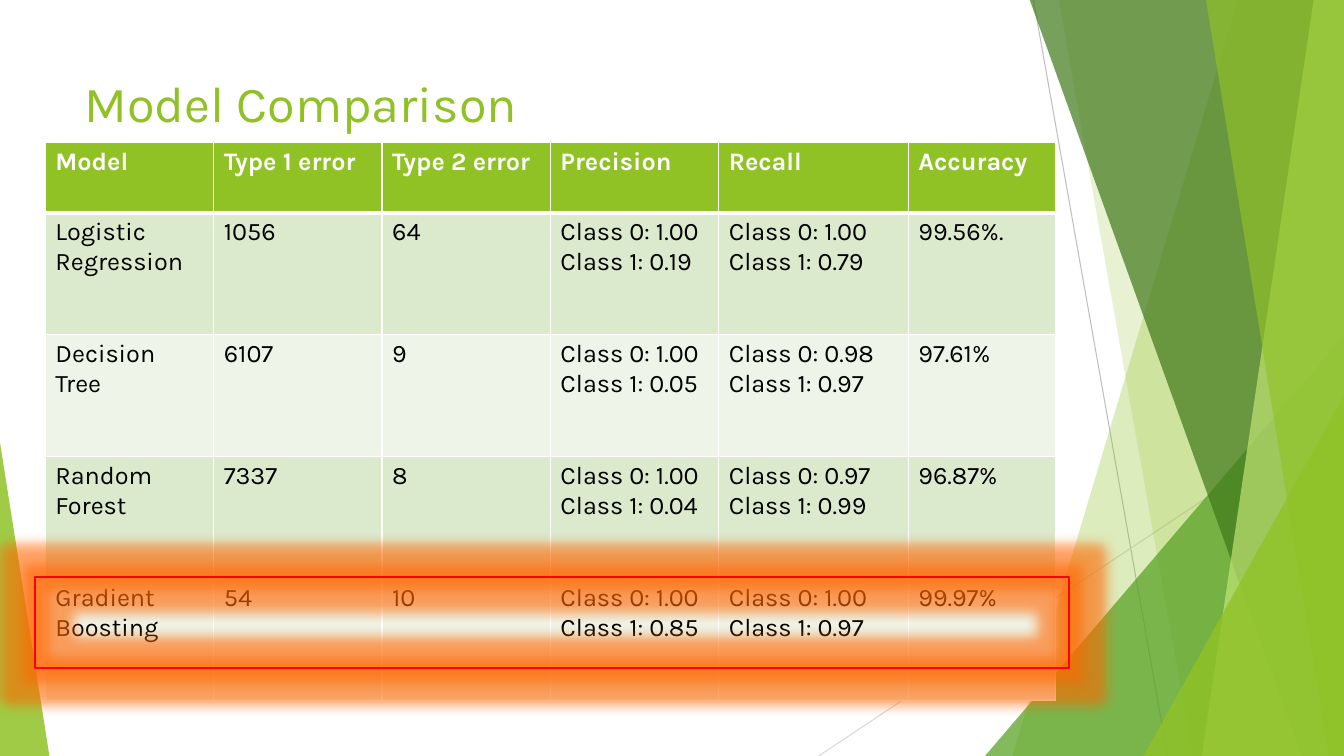
from pptx import Presentation
from pptx.dml.color import RGBColor as RGB
from pptx.enum.shapes import MSO_CONNECTOR as Conn, MSO_SHAPE as Shape
from pptx.enum.text import MSO_ANCHOR as Anchor, PP_ALIGN as Align
from pptx.oxml import parse_xml
from pptx.oxml.ns import nsdecls
from pptx.util import Inches, Pt

WIDE, HIGH = 13.33, 7.5
GREEN, DARK, MINT, PALE, WHITE = "90C226", "3F7819", "DBE9CD", "EEF4E8", "FFFFFF"
BODY = {"name": "Karla", "size": Pt(18), "bold": False}
HEAD = {**BODY, "bold": True}
TITLE = {**BODY, "size": Pt(36)}

# Ribbons: top left, bottom left, colour, opacity; all reach the right edge
RIBBONS_BACK = [(12.28, 10.04, GREEN, 30), (10.5, 11.83, GREEN, 20)]
RIBBONS_FRONT = [(10.21, 12.91, DARK, 70), (13.03, 11.92, "C0E474", 70),
                 (11.96, 13.18, GREEN, 65)]
COLS = [1.67, 1.67, 1.67, 1.67, 1.88, 1.46]
ROWS = [0.7] + [1.21] * 4
DATA = [
    ("Model", "Type 1 error", "Type 2 error", "Precision", "Recall", "Accuracy"),
    ("Logistic Regression", "1056", "64", ("1.00", "0.19"), ("1.00", "0.79"), "99.56%."),
    ("Decision Tree", "6107", "9", ("1.00", "0.05"), ("0.98", "0.97"), "97.61%"),
    ("Random Forest", "7337", "8", ("1.00", "0.04"), ("0.97", "0.99"), "96.87%"),
    ("Gradient Boosting", "54", "10", ("1.00", "0.85"), ("1.00", "0.97"), "99.97%"),
]


def tint(fmt, code):
    """Give a fill, line or font a solid colour."""
    if hasattr(fmt, "solid"):
        fmt.solid()
        fmt.fore_color.rgb = RGB.from_string(code)
    else:
        fmt.color.rgb = RGB.from_string(code)


def style(font, form, code):
    for key, value in form.items():
        setattr(font, key, value)
    tint(font, code)


def add_xml(parent, text):
    head, tail = text.split(">", 1)
    if head.endswith("/"):
        head = f"{head[:-1]} {nsdecls('a')}/"
    else:
        head = f"{head} {nsdecls('a')}"
    parent.append(parse_xml(f"{head}>{tail}"))


def glaze(shape, code, clear):
    """Translucent fill without outline or shadow."""
    tint(shape.fill, code)
    color = shape.element.spPr.find(".//{*}srgbClr")
    add_xml(color, f'<a:alpha val="{clear * 1000}"/>')
    shape.line.fill.background()
    shape.shadow.inherit = False


# Background artwork
def draw_line(shapes, start, end, code):
    points = [Inches(v) for v in (*start, *end)]
    line = shapes.add_connector(Conn.STRAIGHT, *points)
    tint(line.line, code)
    line.line.width = Pt(0.75)
    add_xml(line.element.spPr, "<a:effectLst/>")


def draw_ribbon(shapes, box, top, base, code, clear):
    y, right, foot = box
    points = [(Inches(a), Inches(b)) for a, b in
              ((top, y), (right, y), (right, foot), (base, foot))]
    path = shapes.build_freeform(*points[0])
    path.add_line_segments(points[1:], close=True)
    glaze(path.convert_to_shape(), code, clear)


def draw_peak(shapes, box, apex, code, clear):
    peak = shapes.add_shape(Shape.ISOSCELES_TRIANGLE, *map(Inches, box))
    peak.adjustments[0] = apex
    glaze(peak, code, clear)


def draw_art(shapes, wide, high):
    box = (-0.01, wide, high)
    draw_line(shapes, (10.25, 0), (11.58, high), "BFBFBF")
    draw_line(shapes, (wide, 4.03), (8.12, high), "D9D9D9")
    for band in RIBBONS_BACK:
        draw_ribbon(shapes, box, *band)
    draw_peak(shapes, (9.77, 3.33, wide - 9.77, high - 3.33), 1, "54A021", 72)
    for band in RIBBONS_FRONT:
        draw_ribbon(shapes, box, *band)
    draw_peak(shapes, (11.34, 3.93, wide - 11.34, high - 3.93), 1, GREEN, 80)
    draw_peak(shapes, (0, 4.39, 0.49, high - 4.39), 0, GREEN, 85)


# Title
def set_title(title, box, text):
    title.left, title.top, title.width, title.height = map(Inches, box)
    title.element.getparent().append(title.element)  # in front of the artwork
    frame = title.text_frame
    frame.text = text
    frame.vertical_anchor = Anchor.TOP
    frame.paragraphs[0].alignment = Align.LEFT
    style(frame.paragraphs[0].runs[0].font, TITLE, GREEN)


# Comparison table
def edge_cell(cell, base):
    props = cell._tc.get_or_add_tcPr()
    edges = {"lnL": 1, "lnR": 1, "lnT": 1, "lnB": base}
    for i, (side, size) in enumerate(edges.items()):
        add_xml(props, f'<a:{side} w="{Pt(size)}"><a:solidFill>'
                       f'<a:srgbClr val="{WHITE}"/></a:solidFill></a:{side}>')
        props.insert(i, props[-1])


def fill_cell(cell, value, row):
    if isinstance(value, tuple):
        value = "\n".join(f"Class {i}: {score}" for i, score in enumerate(value))
    cell.text = value
    form, ink = (BODY, "000000") if row else (HEAD, WHITE)
    for para in cell.text_frame.paragraphs:
        style(para.runs[0].font, form, ink)
    tint(cell.fill, (PALE, MINT)[row % 2] if row else GREEN)
    edge_cell(cell, 1 if row else 3)


def draw_table(shapes, left, top):
    box = (left, top, sum(COLS), sum(ROWS))
    table = shapes.add_table(len(ROWS), len(COLS), *map(Inches, box)).table
    for col, size in zip(table.columns, COLS):
        col.width = Inches(size)
    for row, size in zip(table.rows, ROWS):
        row.height = Inches(size)
    for r, line in enumerate(DATA):
        for c, value in enumerate(line):
            fill_cell(table.cell(r, c), value, r)


# Glowing frame around the best model
def draw_frame(shapes, box):
    frame = shapes.add_shape(Shape.RECTANGLE, *map(Inches, box))
    frame.fill.background()
    tint(frame.line, "FF0000")
    frame.line.width = Pt(1.5)
    add_xml(frame.element.spPr,
            f'<a:effectLst><a:glow rad="{Pt(18)}"><a:srgbClr val="FF6600">'
            '<a:alpha val="60000"/></a:srgbClr></a:glow></a:effectLst>')


def main():
    deck = Presentation()
    deck.slide_width, deck.slide_height = Inches(WIDE), Inches(HIGH)
    slide = deck.slides.add_slide(deck.slide_layouts[5])
    draw_art(slide.shapes, WIDE, HIGH)
    set_title(slide.shapes.title, (0.74, 0.67, 9.4, 1.44), "Model Comparison")
    draw_table(slide.shapes, 0.45, 1.41)
    draw_frame(slide.shapes, (0.35, 5.72, 10.25, 0.91))
    deck.save("out.pptx")


if __name__ == "__main__":
    main()
